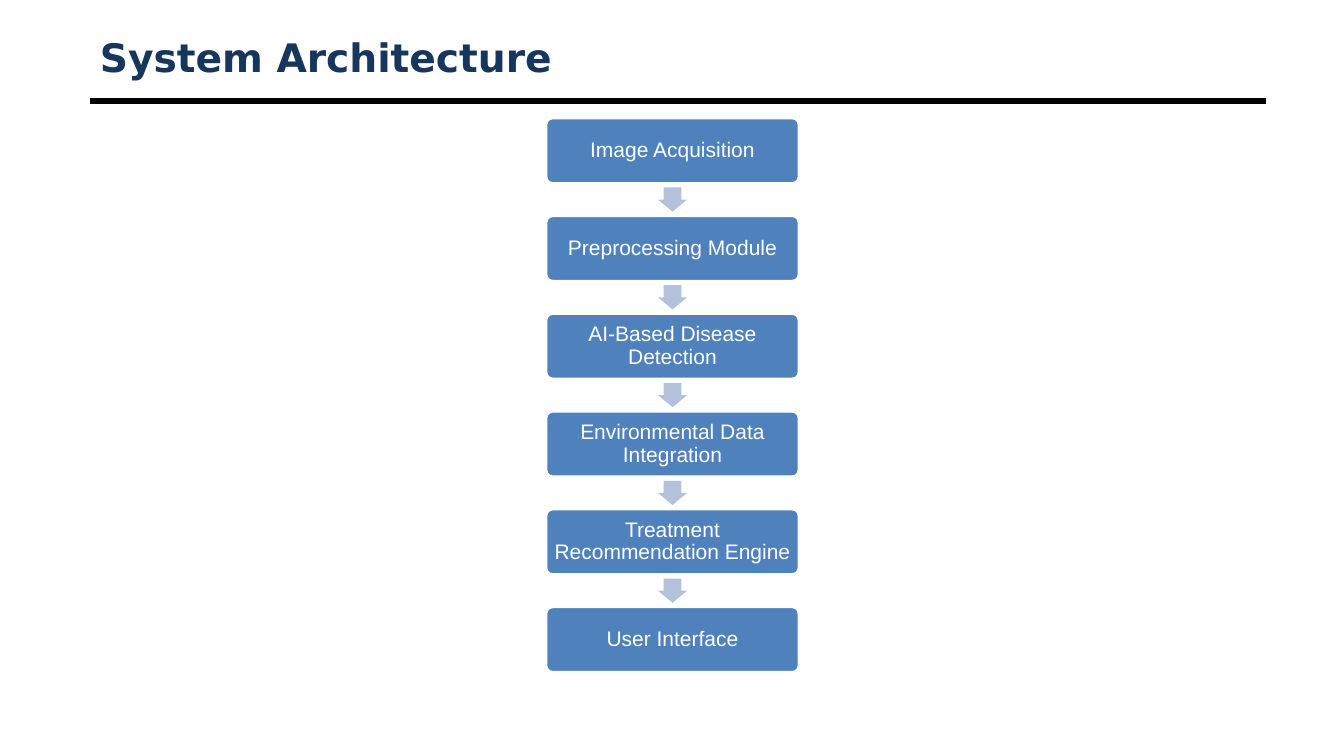
import pptx
import pptx.util
import pptx.dml.color
import pptx.enum.shapes
import pptx.enum.text
import pptx.oxml.ns
from dataclasses import dataclass
from lxml import etree
from pptx.util import Inches


@dataclass(frozen=True)
class Theme:
    title_font: str = "DejaVu Sans"
    body_font: str = "Arial"
    title_size: int = 28
    step_size: int = 15
    title: str = "17365D"
    rule: str = "000000"
    step: str = "4F81BD"
    arrow: str = "B3C1DB"
    white: str = "FFFFFF"


THEME = Theme()
STEPS = [
    "Image Acquisition",
    "Preprocessing Module",
    "AI-Based Disease Detection",
    "Environmental Data Integration",
    "Treatment Recommendation Engine",
    "User Interface",
]
MARGIN, CONTENT_W = 0.89, 11.67
CENTER_X = 6.67
STEP_TOP, STEP_PITCH = 1.17, 0.97
STEP_W, STEP_H = 2.51, 0.65
ARROW_W, ARROW_H = 0.29, 0.24


def rgb(value):
    return pptx.dml.color.RGBColor.from_string(value)


def style_font(p, name, size, color, bold=False):
    p.font.name = name
    p.font.size = pptx.util.Pt(size)
    p.font.color.rgb = rgb(color)
    p.font.bold = bold


def set_title(slide, text):
    sp = slide.shapes.title
    sp.left, sp.top = Inches(MARGIN), Inches(0.3)
    sp.width, sp.height = Inches(CONTENT_W), Inches(0.53)
    tf = sp.text_frame
    tf.text = text
    tf.vertical_anchor = pptx.enum.text.MSO_ANCHOR.MIDDLE
    tf.auto_size = pptx.enum.text.MSO_AUTO_SIZE.NONE
    p = tf.paragraphs[0]
    p.alignment = pptx.enum.text.PP_ALIGN.LEFT
    style_font(p, THEME.title_font, THEME.title_size, THEME.title, bold=True)


def add_rule(slide, y):
    """Draw the heavy line under the title."""
    line = slide.shapes.add_connector(
        pptx.enum.shapes.MSO_CONNECTOR.STRAIGHT,
        Inches(MARGIN), Inches(y), Inches(MARGIN + CONTENT_W), Inches(y))
    line.line.color.rgb = rgb(THEME.rule)
    line.line.width = pptx.util.Pt(4.5)
    etree.SubElement(line._element.spPr, pptx.oxml.ns.qn("a:effectLst"))


def add_centered_shape(slide, kind, top, width, height, fill):
    sp = slide.shapes.add_shape(
        kind, Inches(CENTER_X - width / 2), Inches(top), Inches(width), Inches(height))
    sp.shadow.inherit = False
    sp.fill.solid()
    sp.fill.fore_color.rgb = rgb(fill)
    return sp


def add_step(slide, text, top):
    sp = add_centered_shape(
        slide, pptx.enum.shapes.MSO_SHAPE.ROUNDED_RECTANGLE, top, STEP_W, STEP_H, THEME.step)
    sp.adjustments[0] = 0.1
    sp.line.color.rgb = rgb(THEME.white)
    sp.line.width = pptx.util.Pt(2)
    tf = sp.text_frame
    tf.text = text
    tf.word_wrap = True
    tf.vertical_anchor = pptx.enum.text.MSO_ANCHOR.MIDDLE
    tf.margin_left = tf.margin_right = tf.margin_top = tf.margin_bottom = Inches(0.06)
    p = tf.paragraphs[0]
    p.alignment = pptx.enum.text.PP_ALIGN.CENTER
    p.line_spacing = 0.9
    style_font(p, THEME.body_font, THEME.step_size, THEME.white)


def add_arrow(slide, gap_top):
    """Centre a down arrow in the gap below a step."""
    top = gap_top + (STEP_PITCH - STEP_H - ARROW_H) / 2
    sp = add_centered_shape(
        slide, pptx.enum.shapes.MSO_SHAPE.DOWN_ARROW, top, ARROW_W, ARROW_H, THEME.arrow)
    sp.adjustments[0] = 0.6
    sp.adjustments[1] = 0.5
    sp.line.fill.background()


def main():
    prs = pptx.Presentation()
    prs.slide_width, prs.slide_height = Inches(13.33), Inches(7.5)
    slide = prs.slides.add_slide(prs.slide_layouts.get_by_name("Title Only"))
    set_title(slide, "System Architecture")
    add_rule(slide, 1)
    for i, text in enumerate(STEPS):
        top = STEP_TOP + i * STEP_PITCH
        add_step(slide, text, top)
        if i < len(STEPS) - 1:
            add_arrow(slide, top + STEP_H)
    prs.save("out.pptx")


if __name__ == "__main__":
    main()
